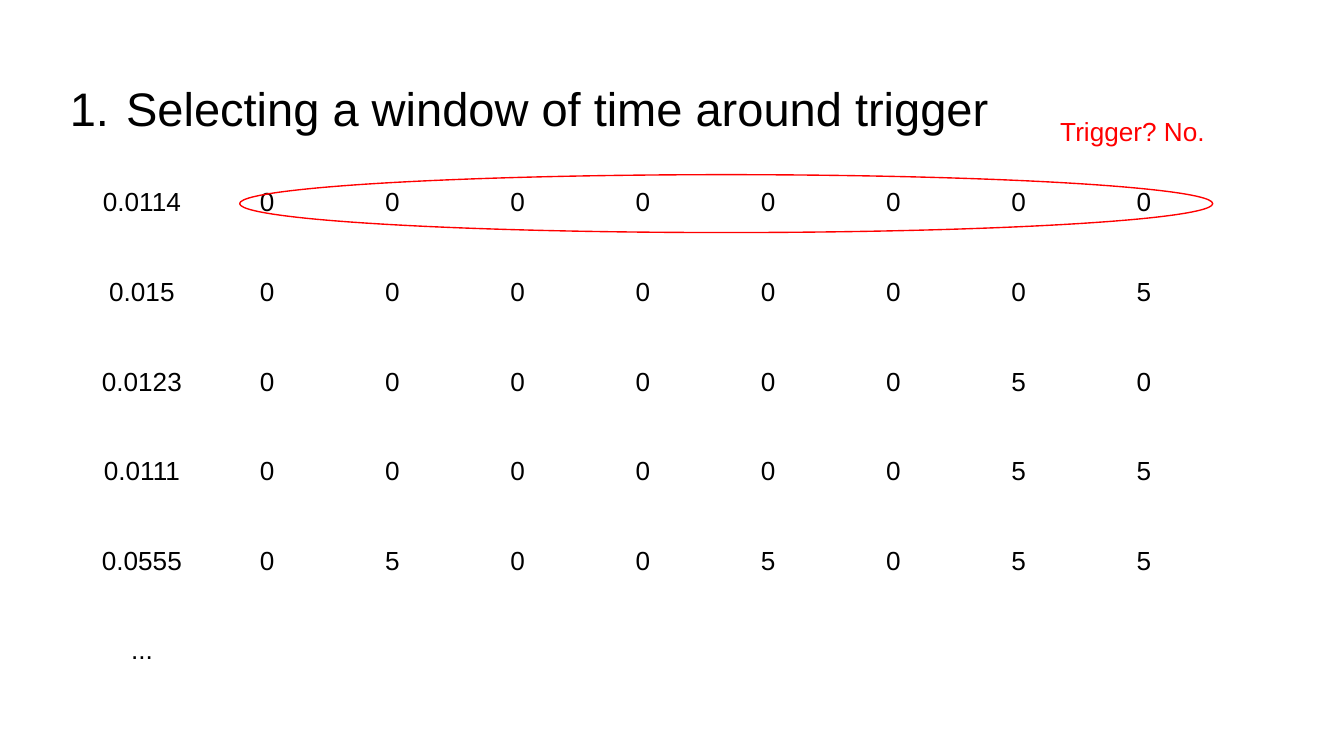
from lxml import etree
from pptx import Presentation
from pptx.dml.color import RGBColor
from pptx.enum.shapes import MSO_SHAPE
from pptx.enum.text import MSO_ANCHOR, PP_ALIGN
from pptx.oxml.ns import qn
from pptx.util import Pt

ELLIPSE = MSO_SHAPE.OVAL
TOP = MSO_ANCHOR.TOP
LEFT, CENTER = PP_ALIGN.LEFT, PP_ALIGN.CENTER

TITLE = "Selecting a window of time around trigger"
VERDICT = "Trigger? No."
SAMPLES = [
    ("0.0114", "00000000"),
    ("0.015", "00000005"),
    ("0.0123", "00000050"),
    ("0.0111", "00000055"),
    ("0.0555", "05005055"),
    ("...", ""),
]
CHANNELS = 8

THEME = {
    "font": "Arial",
    "ink": RGBColor(0, 0, 0),
    "accent": RGBColor(255, 0, 0),
    "title_size": 25.2,
    "body_size": 14,
    "outline": 0.75,
    "inset": 7.2,
}

SLIDE_SIZE = (720, 405)
TITLE_BOX = (24.5, 35.3, 671, 45.4)
TABLE_LEFT, TABLE_TOP = 42.5, 93.6
COLUMN_WIDTH, ROW_HEIGHT = 67.1, 48
RING_BOX = (128.4, TABLE_TOP, 521.3, 31)
VERDICT_BOX = (560.9, 54.7, 109.4, 31.7)
NUMBER_INDENT, NUMBER_HANG = 36, 30.2


def points(lengths):
    return [Pt(length) for length in lengths]


def number_paragraph(paragraph):
    """Give the paragraph an automatic number with a hanging indent."""
    properties = paragraph._p.get_or_add_pPr()
    properties.set("marL", str(Pt(NUMBER_INDENT)))
    properties.set("indent", str(-Pt(NUMBER_HANG)))
    color = etree.SubElement(properties, qn("a:buClr"))
    etree.SubElement(color, qn("a:srgbClr"), val=str(THEME["ink"]))
    etree.SubElement(properties, qn("a:buFont"), typeface=THEME["font"])
    etree.SubElement(properties, qn("a:buAutoNum"), type="arabicPeriod")


def write(frame, text, size=THEME["body_size"], color=THEME["ink"],
          align=LEFT, numbered=False):
    paragraph = frame.paragraphs[0]
    paragraph.alignment = align
    if numbered:
        number_paragraph(paragraph)
    run = paragraph.add_run()
    run.text = text
    run.font.name = THEME["font"]
    run.font.size = Pt(size)
    run.font.color.rgb = color


def set_insets(holder):
    holder.margin_left = holder.margin_right = Pt(THEME["inset"])
    holder.margin_top = holder.margin_bottom = Pt(THEME["inset"])
    holder.vertical_anchor = TOP


def add_text(slide, box, text, **text_format):
    frame = slide.shapes.add_textbox(*points(box)).text_frame
    frame.word_wrap = True
    set_insets(frame)
    write(frame, text, **text_format)


def add_samples(slide):
    columns = CHANNELS + 1
    box = (TABLE_LEFT, TABLE_TOP,
           columns * COLUMN_WIDTH, len(SAMPLES) * ROW_HEIGHT)
    table = slide.shapes.add_table(len(SAMPLES), columns, *points(box)).table
    table.first_row = table.horz_banding = False
    for column in table.columns:
        column.width = Pt(COLUMN_WIDTH)
    for row, (time, channels) in zip(table.rows, SAMPLES):
        row.height = Pt(ROW_HEIGHT)
        for cell in row.cells:
            cell.fill.background()
            set_insets(cell)
        for cell, value in zip(row.cells, [time, *channels]):
            write(cell.text_frame, value, align=CENTER)


def add_ring(slide):
    ring = slide.shapes.add_shape(ELLIPSE, *points(RING_BOX))
    ring.shadow.inherit = False
    ring.fill.background()
    ring.line.color.rgb = THEME["accent"]
    ring.line.width = Pt(THEME["outline"])


def main():
    presentation = Presentation()
    presentation.slide_width, presentation.slide_height = points(SLIDE_SIZE)
    slide = presentation.slides.add_slide(presentation.slide_layouts[6])
    add_text(slide, TITLE_BOX, TITLE, size=THEME["title_size"], numbered=True)
    add_samples(slide)
    add_ring(slide)
    add_text(slide, VERDICT_BOX, VERDICT, color=THEME["accent"])
    presentation.save("out.pptx")


if __name__ == "__main__":
    main()
